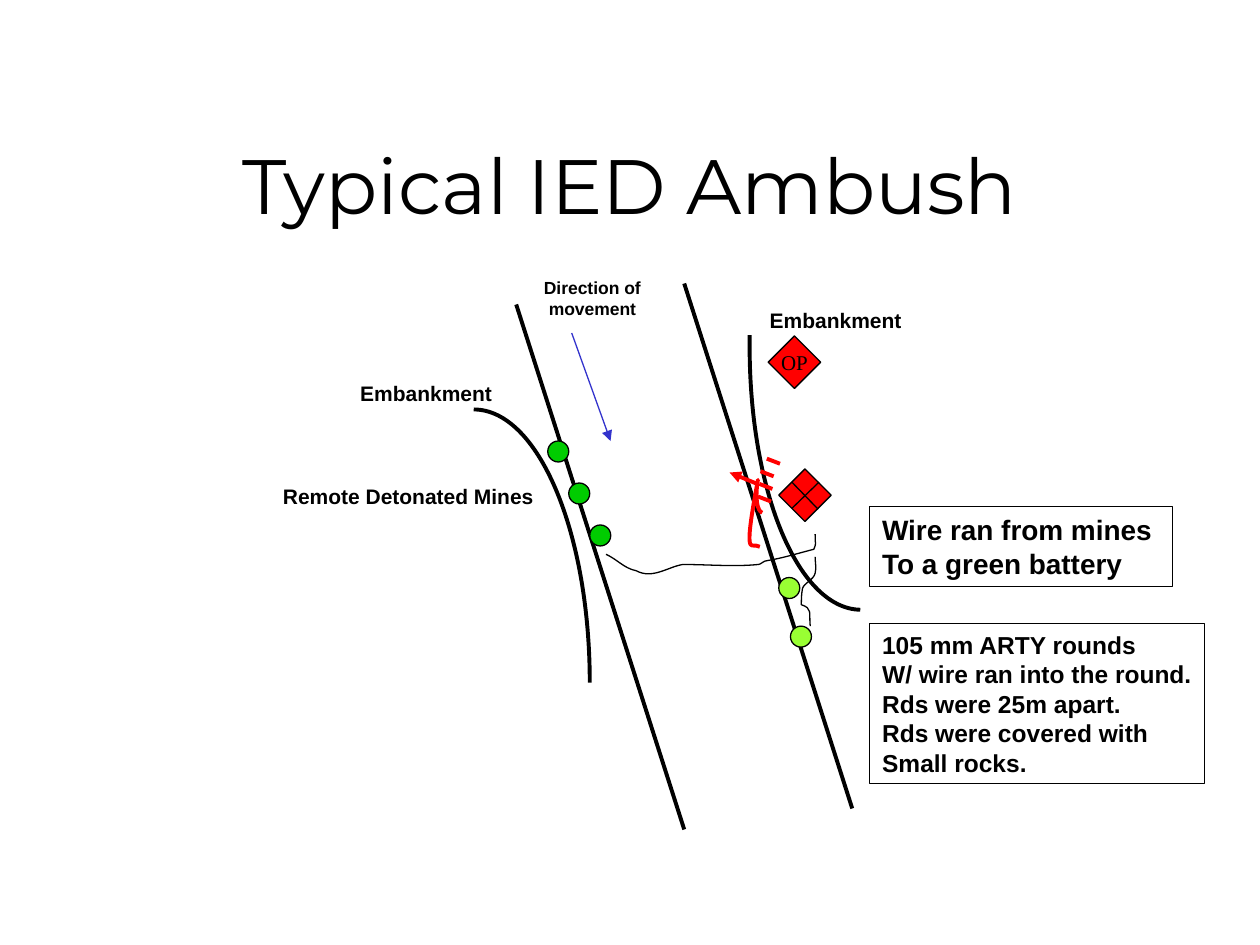
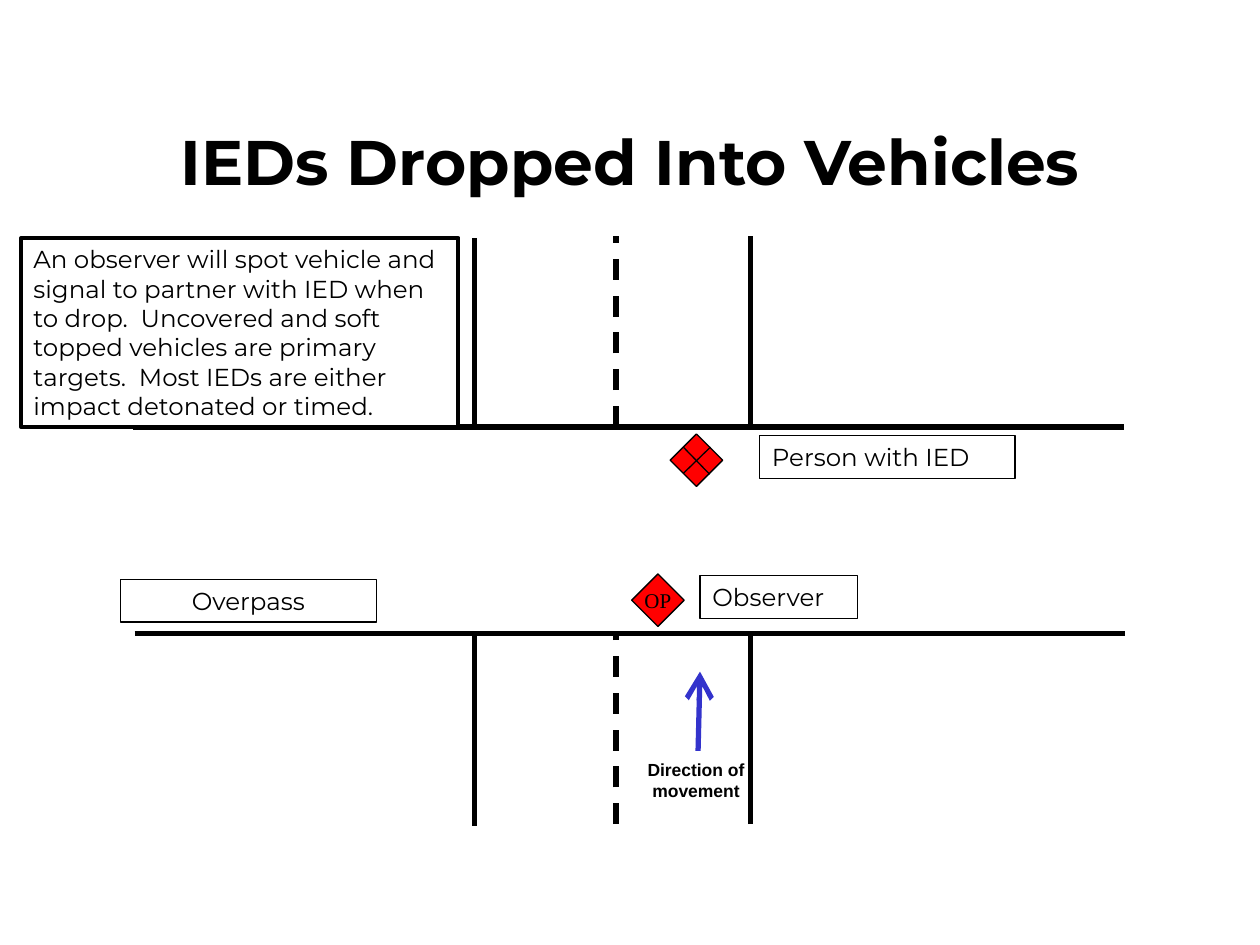
from lxml.etree import SubElement
from pptx import Presentation
from pptx.dml.color import RGBColor
from pptx.enum.dml import MSO_LINE
from pptx.enum.shapes import MSO_CONNECTOR, MSO_SHAPE
from pptx.enum.text import MSO_ANCHOR, PP_ALIGN
from pptx.oxml.ns import qn
from pptx.util import Pt

COLORS = {"ink": "000000", "paper": "FFFFFF", "enemy": "FF0000",
          "mine": "00CC00", "round": "99FF33", "move": "3333CC"}
RGB = {name: RGBColor.from_string(value) for name, value in COLORS.items()}
BODY, LABEL, SYMBOL = "Montserrat", "Arial", "Times New Roman"


def box(s, text, x, y, w, h, shape=None, fill=None, line=0.75, font=BODY, size=14,
        bold=False, align=PP_ALIGN.LEFT, anchor=MSO_ANCHOR.TOP, wrap=True):
    """Add a text box, or a preset shape when shape is given."""
    frame = Pt(x), Pt(y), Pt(w), Pt(h)
    if shape is None:
        sp = s.shapes.add_textbox(*frame)
    else:
        sp = s.shapes.add_shape(shape, *frame)
        sp.shadow.inherit = False
        sp.line.color.rgb = RGB["ink"]
        sp.line.width = Pt(line)
        if fill:
            sp.fill.solid()
            sp.fill.fore_color.rgb = RGB[fill]
        else:
            sp.fill.background()
    tf = sp.text_frame
    tf.word_wrap = wrap
    tf.vertical_anchor = anchor
    for i, row in enumerate(text.split("\n") if text else []):
        p = tf.paragraphs[0] if i == 0 else tf.add_paragraph()
        p.alignment = align
        r = p.add_run()
        r.text = row
        r.font.name, r.font.size, r.font.bold = font, Pt(size), bold
        r.font.color.rgb = RGB["ink"]


def line(s, x1, y1, x2, y2, color="ink", width=0.75, dash=False, head=None, head_size="med"):
    """Add a straight line, with an arrowhead at its end when head is given."""
    c = s.shapes.add_connector(MSO_CONNECTOR.STRAIGHT, Pt(x1), Pt(y1), Pt(x2), Pt(y2))
    c.line.color.rgb = RGB[color]
    c.line.width = Pt(width)
    if dash:
        c.line.dash_style = MSO_LINE.DASH
    if head:
        SubElement(c.line._get_or_add_ln(), qn("a:tailEnd"),
                   type=head, w=head_size, len=head_size)
    SubElement(c._element.spPr, qn("a:effectLst"))


prs = Presentation()
prs.slide_width, prs.slide_height = Pt(720), Pt(540)
s1, s2 = (prs.slides.add_slide(prs.slide_layouts[6]) for _ in range(2))

# Titles
for s, text, y, size, bold in ((s1, "Typical IED Ambush", 75, 44, False),
                               (s2, "IEDs Dropped Into Vehicles", 66.3, 36, True)):
    box(s, text, 36, y, 648, 90, size=size, bold=bold, align=PP_ALIGN.CENTER)

# Slide 1: road edges and direction of movement
for x, y in ((295, 174), (391, 162)):
    line(s1, x, y, x + 96, y + 300, width=2.25)
line(s1, 326.7, 190.3, 348.9, 252, "move", head="triangle")

# Slide 1: curves, each with its frame and a start point followed by Bezier triples
curves = [
    # embankments
    ("ink", 2.25, (270.7, 234, 66.3, 156.2),
     [(270.7, 234), (307.4, 234), (337, 303.8), (337, 390.2)]),
    ("ink", 2.25, (427, 192, 66.2, 156.2),
     [(491.6, 348.5), (455, 347.8), (427, 277.2), (428.4, 191.5)]),
    # weapon
    ("enemy", 2.25, (433.4, 257, 7.9, 36),
     [(435.6, 293), (432.7, 292.3), (431.3, 284.4), (433.1, 274.3),
      (424.8, 318.2), (429.1, 311), (432, 311.8),
      (432.7, 311.8), (433.4, 311.8), (434.2, 312.5)]),
    # wires
    ("ink", 0.75, (346.3, 305.3, 119.5, 25.9),
     [(346.3, 316.8), (352.8, 319.7), (356.4, 324.7), (363.6, 326.2),
      (373, 331.2), (381.6, 324), (390.2, 322.6),
      (403.9, 322.6), (419.8, 324), (433.4, 322.6),
      (434.9, 322.6), (436.3, 320.4), (438.5, 320.4),
      (447.1, 319), (456.5, 316.1), (465.1, 313.9),
      (466.6, 309.6), (465.8, 312.5), (465.8, 305.3)]),
    ("ink", 0.75, (457.9, 318.2, 8.6, 40.3),
     [(463, 357.8), (462.2, 349.9), (464.4, 347.8), (457.9, 345.6),
      (457.9, 342.7), (457.9, 339.8), (458.6, 336.2),
      (459.4, 333.4), (465.1, 331.2), (465.8, 327.6),
      (466.6, 324.7), (465.8, 321.1), (465.8, 318.2)]),
]
for color, width, (x, y, w, h), pts in curves:
    fb = s1.shapes.build_freeform(Pt(x), Pt(y))
    fb.add_line_segments([(Pt(x + w), Pt(y + h))], close=False)
    sp = fb.convert_to_shape()
    sp.shadow.inherit = False
    sp.fill.background()
    sp.line.color.rgb = RGB[color]
    sp.line.width = Pt(width)
    # Replace the frame's diagonal by the Bezier segments
    outline = next(sp._element.iter(qn("a:path")))
    for child in list(outline):
        outline.remove(child)
    for i, (px, py) in enumerate(pts):
        if i == 0:
            segment = SubElement(outline, qn("a:moveTo"))
        elif i % 3 == 1:
            segment = SubElement(outline, qn("a:cubicBezTo"))
        SubElement(segment, qn("a:pt"), x=str(int(Pt(px - x))), y=str(int(Pt(py - y))))

# Slide 1: arrow and ticks of the weapon
line(s1, 432.7, 276.5, 416.9, 270, "enemy", 2.25, head="triangle")
for x, y in ((440.6, 286.6), (445.7, 265), (442.1, 272.2), (441.4, 279.4)):
    line(s1, x, y, x - 7.5, y - 2.9, "enemy", 2.25)

# Slide 1: mines and artillery rounds
dots = [("mine", 313 + 12 * i, 252 + 24 * i) for i in range(3)]
dots += [("round", 445, 330), ("round", 451.7, 357.8)]
for fill, x, y in dots:
    box(s1, "", x, y, 12, 12, shape=MSO_SHAPE.OVAL, fill=fill)

# Slide 1: labels and notes
for text, x, y, w in (("Embankment", 432.8, 172, 91), ("Embankment", 198.8, 214, 91),
                      ("Remote Detonated Mines", 154.6, 272.5, 159)):
    box(s1, text, x, y, w, 21.6, font=LABEL, size=12, bold=True, wrap=False)
notes = [
    ("Wire ran from mines\nTo a green battery", 289.4, 173, 45.8, 16),
    ("105 mm ARTY rounds\nW/ wire ran into the round.\nRds were 25m apart.\n"
     "Rds were covered with\nSmall rocks.", 356.4, 191.5, 91.4, 14),
]
for text, y, w, h, size in notes:
    box(s1, text, 497, y, w, h, shape=MSO_SHAPE.RECTANGLE,
        font=LABEL, size=size, bold=True, wrap=False)

# Slide 2: overpass edges, and the road above and below it
for x, y in ((76.2, 244), (77, 362)):
    line(s2, x, y, x + 566, y, width=3)
for x, dash, shift in ((271, False, 1), (429, False, 0), (352, True, 0)):
    for bottom, top in ((471, 362), (244, 135)):
        line(s2, x, bottom + shift, x, top + shift, width=3, dash=dash)
line(s2, 398.9, 429.1, 400, 383.8, "move", 3, head="arrow", head_size="lg")

# Slide 2: boxed texts
boxes = [
    ("Person with IED", 434, 249, 146, 24.3, {}),
    ("Observer", 400, 329, 90, 24.3, {}),
    ("Overpass", 69, 331.2, 146, 24.3, {"align": PP_ALIGN.CENTER}),
    ("An observer will spot vehicle and signal to partner with IED when to drop.  "
     "Uncovered and soft topped vehicles are primary targets.  "
     "Most IEDs are either impact detonated or timed.",
     12, 136, 250, 108, {"fill": "paper", "line": 2.25}),
]
for text, x, y, w, h, style in boxes:
    box(s2, text, x, y, w, h, shape=MSO_SHAPE.RECTANGLE, **style)

# Both slides: observation post, crossed diamond, direction label
for s, post, fighter, label in ((s1, (439, 192), (445, 268), (302.5, 154.8)),
                                (s2, (361, 328), (383, 248), (361.7, 430))):
    box(s, "OP", *post, 30, 30, shape=MSO_SHAPE.DIAMOND, fill="enemy", font=SYMBOL,
        size=12, align=PP_ALIGN.CENTER, anchor=MSO_ANCHOR.MIDDLE, wrap=False)
    x, y = fighter
    box(s, "", x, y, 30, 30, shape=MSO_SHAPE.DIAMOND, fill="enemy")
    line(s, x + 23, y + 7.5, x + 7.5, y + 22.5)
    line(s, x + 22.5, y + 23, x + 7.5, y + 7.5)
    box(s, "Direction of movement", *label, 72, 31.7, font=LABEL, size=10,
        bold=True, align=PP_ALIGN.CENTER)

prs.save("out.pptx")
